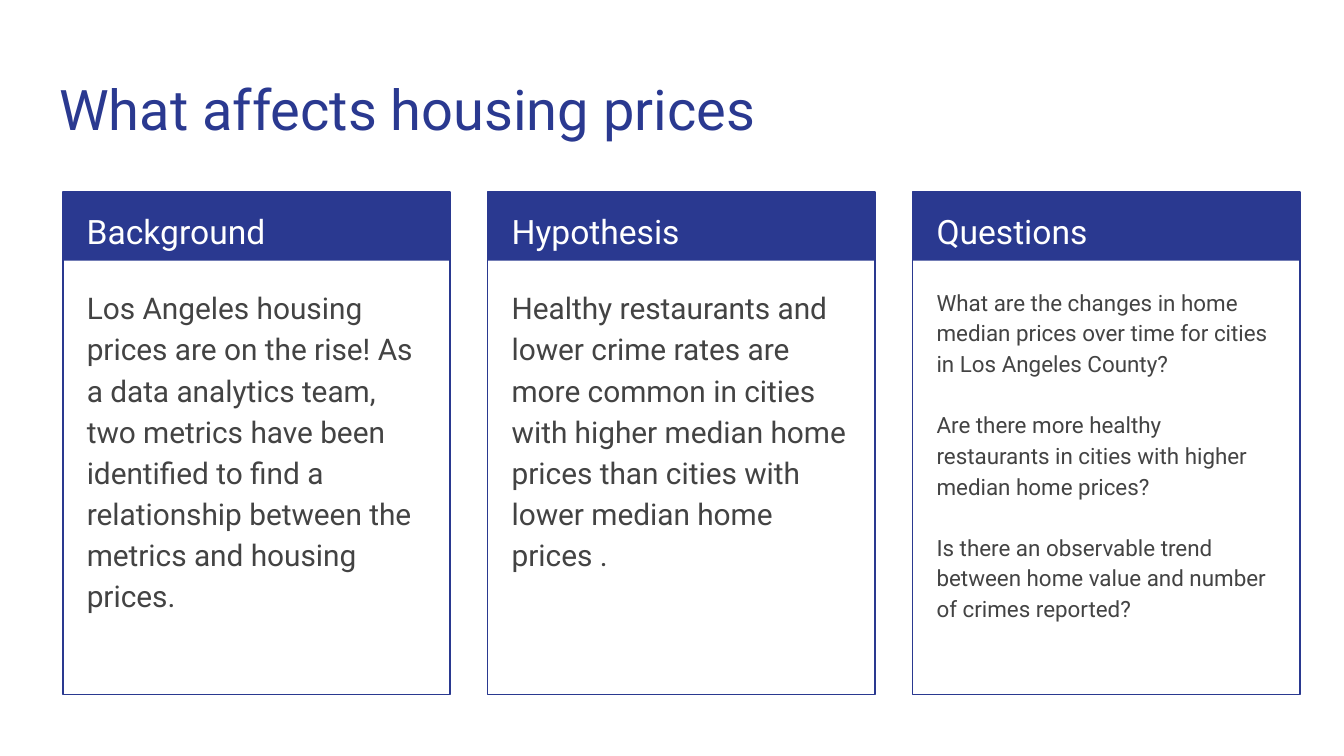
from dataclasses import dataclass

from lxml import etree
from pptx import Presentation
from pptx import util as u
from pptx.dml import color
from pptx.enum import shapes, text
from pptx.oxml import ns

FONT = "Roboto"
BLUE, WHITE, GREY = "2A3990", "FFFFFF", "434343"
COMPARISON_LAYOUT = 4

FIRST_LEFT, CARD_TOP = 1.19, 3.63
CARD_WIDTH, CARD_HEIGHT, HEADER_HEIGHT = 7.32, 9.5, 1.3
CARD_PITCH = 8.03
INSET = 0.2


@dataclass
class Card:
    heading: str
    paragraphs: list[str]
    size: int
    placeholder: int


CARDS = [
    Card("Background", [
        "Los Angeles housing prices are on the rise! As a data analytics team, "
        "two metrics have been identified to find a relationship between the "
        "metrics and housing prices.",
    ], 16, 1),
    Card("Hypothesis", [
        "Healthy restaurants and lower crime rates are more common in cities "
        "with higher median home prices than cities with lower median home prices .",
    ], 16, 2),
    Card("Questions", [
        "What are the changes in home median prices over time for cities in "
        "Los Angeles County?",
        "Are there more healthy restaurants in cities with higher median home prices?",
        "Is there an observable trend between home value and number of crimes reported?",
    ], 12, 3),
]


def rgb(value: str) -> color.RGBColor:
    return color.RGBColor.from_string(value)


def place(shape, left: float, top: float, width: float, height: float) -> None:
    shape.left, shape.top = u.Cm(left), u.Cm(top)
    shape.width, shape.height = u.Cm(width), u.Cm(height)


def write(shape, paragraphs: list[str], size: int, hex_color: str,
          line_spacing: float = 1.15) -> None:
    """Fill the shape with left-aligned, unbulleted text."""
    frame = shape.text_frame
    frame.text = "\n".join(paragraphs)
    frame.word_wrap = True
    frame.auto_size = text.MSO_AUTO_SIZE.NONE
    frame.vertical_anchor = text.MSO_ANCHOR.TOP
    frame.margin_left = frame.margin_right = u.Cm(0.25)
    frame.margin_top = frame.margin_bottom = u.Cm(0.25)
    for index, paragraph in enumerate(frame.paragraphs):
        paragraph.alignment = text.PP_ALIGN.LEFT
        paragraph.line_spacing = line_spacing
        paragraph.space_before = u.Pt(16 if index else 0)
        properties = paragraph._p.get_or_add_pPr()
        properties.set("marL", "0")
        properties.set("indent", "0")
        etree.SubElement(properties, ns.qn("a:buNone"))
        for run in paragraph.runs:
            run.font.name = FONT
            run.font.size = u.Pt(size)
            run.font.bold = False
            run.font.color.rgb = rgb(hex_color)


def add_box(group, left: float, height: float, filled: bool) -> None:
    box = group.shapes.add_shape(
        shapes.MSO_SHAPE.RECTANGLE, u.Cm(left), u.Cm(CARD_TOP),
        u.Cm(CARD_WIDTH), u.Cm(height))
    box.shadow.inherit = False
    if filled:
        box.fill.solid()
        box.fill.fore_color.rgb = rgb(BLUE)
        box.line.fill.background()
    else:
        box.fill.background()
        box.line.color.rgb = rgb(BLUE)
        box.line.width = u.Pt(0.75)


def add_card(slide, card: Card, left: float) -> None:
    group = slide.shapes.add_group_shape()
    add_box(group, left, HEADER_HEIGHT, filled=True)
    add_box(group, left, CARD_HEIGHT, filled=False)

    text_left, text_width = left + INSET, CARD_WIDTH - 2 * INSET
    heading = slide.shapes.add_textbox(0, 0, 0, 0)
    place(heading, text_left, CARD_TOP, text_width, HEADER_HEIGHT)
    write(heading, [card.heading], 18, WHITE)

    body = slide.placeholders[card.placeholder]
    place(body, text_left, CARD_TOP + 1.5, text_width, 7.77)
    write(body, card.paragraphs, card.size, GREY)


def main() -> None:
    presentation = Presentation()
    presentation.slide_width, presentation.slide_height = u.Cm(25.4), u.Cm(14.29)
    slide = presentation.slides.add_slide(
        presentation.slide_layouts[COMPARISON_LAYOUT])

    title = slide.shapes.title
    place(title, 0.87, 1.15, 23.66, 1.68)
    write(title, ["What affects housing prices"], 30, BLUE, line_spacing=1)

    for index, card in enumerate(CARDS):
        add_card(slide, card, FIRST_LEFT + index * CARD_PITCH)

    used = {0} | {card.placeholder for card in CARDS}
    for placeholder in list(slide.placeholders):
        if placeholder.placeholder_format.idx not in used:
            placeholder.element.getparent().remove(placeholder.element)

    presentation.save("out.pptx")


if __name__ == "__main__":
    main()
